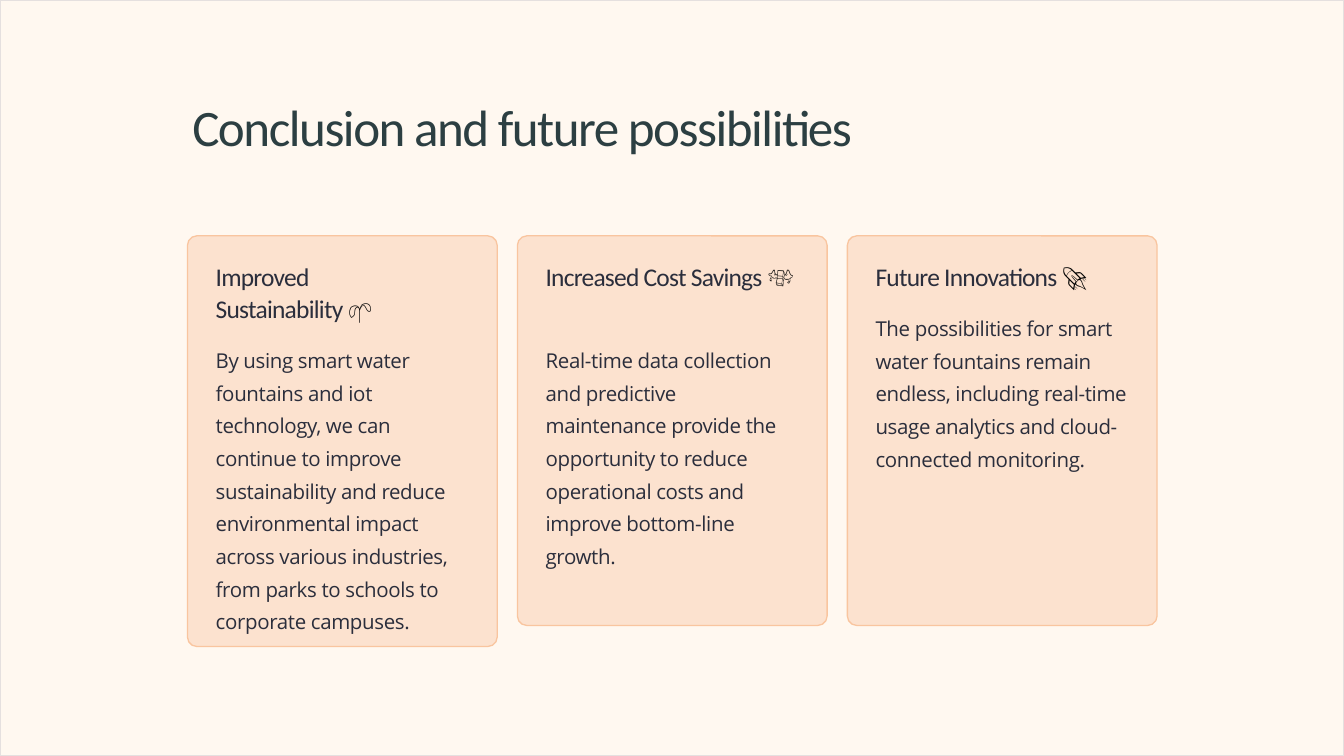
import pptx
import pptx.dml.color
import pptx.enum.shapes
import pptx.enum.text
import pptx.util

Pt = pptx.util.Pt

TITLE = "Conclusion and future possibilities"
CARDS = [
    {"heading": "Improved Sustainability", "emoji": "🌱", "heading_width": 230,
     "height": 440, "body_top": 364.3,
     "body": "By using smart water fountains and iot technology, we can continue to "
             "improve sustainability and reduce environmental impact across various "
             "industries, from parks to schools to corporate campuses."},
    {"heading": "Increased Cost Savings", "emoji": "💸", "heading_width": 271,
     "height": 417.4, "body_top": 364.3,
     "body": "Real-time data collection and predictive maintenance provide the "
             "opportunity to reduce operational costs and improve bottom-line growth."},
    {"heading": "Future Innovations", "emoji": "🚀", "heading_width": 253,
     "height": 417.4, "body_top": 329.8,
     "body": "The possibilities for smart water fountains remain endless, including "
             "real-time usage analytics and cloud-connected monitoring."},
]

COLORS = {"page": "FFF8F0", "frame": "E5E0DF", "title": "2C3F42", "card": "FCE2CF",
          "card_edge": "F9C59F", "text": "2B2E3C", "emoji": "000000"}
STYLES = {
    "title": {"font": "Calibri", "size": 54.7, "leading": 68.3, "tracking": -1.6},
    "heading": {"font": "Calibri", "size": 27.3, "leading": 34.2, "tracking": -0.8},
    "body": {"font": "Open Sans", "size": 21.9, "leading": 35, "tracking": -0.4},
}

SLIDE_WIDTH, SLIDE_HEIGHT = 1440, 810
CARD_LEFT, CARD_TOP, CARD_WIDTH, CARD_PITCH = 200.9, 252.7, 331.8, 353.5
CARD_RADIUS, CARD_PADDING, EDGE = 10, 30.2, 1.4
HEADING_TOP, BODY_WIDTH = 278, 271


def rgb(name):
    return pptx.dml.color.RGBColor.from_string(COLORS[name])


def add_panel(slide, kind, left, top, width, height, fill, edge):
    panel = slide.shapes.add_shape(kind, Pt(left), Pt(top), Pt(width), Pt(height))
    panel.shadow.inherit = False
    panel.fill.solid()
    panel.fill.fore_color.rgb = rgb(fill)
    panel.line.color.rgb = rgb(edge)
    panel.line.width = Pt(EDGE)
    return panel


def write(shape, style_name, color, runs):
    """Fill a shape with one paragraph; runs are (text, own colour or None)."""
    style = STYLES[style_name]
    frame = shape.text_frame
    frame.word_wrap = True
    frame.auto_size = pptx.enum.text.MSO_AUTO_SIZE.NONE
    frame.vertical_anchor = pptx.enum.text.MSO_ANCHOR.TOP
    frame.margin_left = frame.margin_top = frame.margin_right = frame.margin_bottom = 0
    paragraph = frame.paragraphs[0]
    paragraph.alignment = pptx.enum.text.PP_ALIGN.LEFT
    paragraph.line_spacing = Pt(style["leading"])
    paragraph.font.name = style["font"]
    paragraph.font.size = Pt(style["size"])
    paragraph.font.color.rgb = rgb(color)
    for text, own_color in runs:
        run = paragraph.add_run()
        run.text = text
        run._r.get_or_add_rPr().set("spc", str(round(style["tracking"] * 100)))
        if own_color:
            run.font.color.rgb = rgb(own_color)


def add_text(slide, left, top, width, height, style_name, runs):
    box = slide.shapes.add_textbox(Pt(left), Pt(top), Pt(width), Pt(height))
    write(box, style_name, "text", runs)


def add_card(slide, index, card):
    left = CARD_LEFT + index * CARD_PITCH
    panel = add_panel(slide, pptx.enum.shapes.MSO_SHAPE.ROUNDED_RECTANGLE, left, CARD_TOP,
                      CARD_WIDTH, card["height"], "card", "card_edge")
    panel.adjustments[0] = CARD_RADIUS / CARD_WIDTH

    text_left = left + CARD_PADDING
    body_top = card["body_top"]
    add_text(slide, text_left, HEADING_TOP, card["heading_width"],
             body_top - HEADING_TOP - 18, "heading",
             [(card["heading"] + " ", None), (card["emoji"], "emoji")])
    add_text(slide, text_left, body_top, BODY_WIDTH,
             CARD_TOP + card["height"] - body_top, "body", [(card["body"], None)])


def main():
    deck = pptx.Presentation()
    deck.slide_width, deck.slide_height = Pt(SLIDE_WIDTH), Pt(SLIDE_HEIGHT)
    slide = deck.slides.add_slide(deck.slide_layouts.get_by_name("Title Only"))

    page = add_panel(slide, pptx.enum.shapes.MSO_SHAPE.RECTANGLE, 0, 0,
                     SLIDE_WIDTH, SLIDE_HEIGHT, "page", "frame")
    title = slide.shapes.title
    page._element.addnext(title._element)  # the title lies above the page
    title.left, title.top, title.width, title.height = Pt(206), Pt(100), Pt(809), Pt(68.3)
    write(title, "title", "title", [(TITLE, None)])

    for index, card in enumerate(CARDS):
        add_card(slide, index, card)
    deck.save("out.pptx")


if __name__ == "__main__":
    main()
